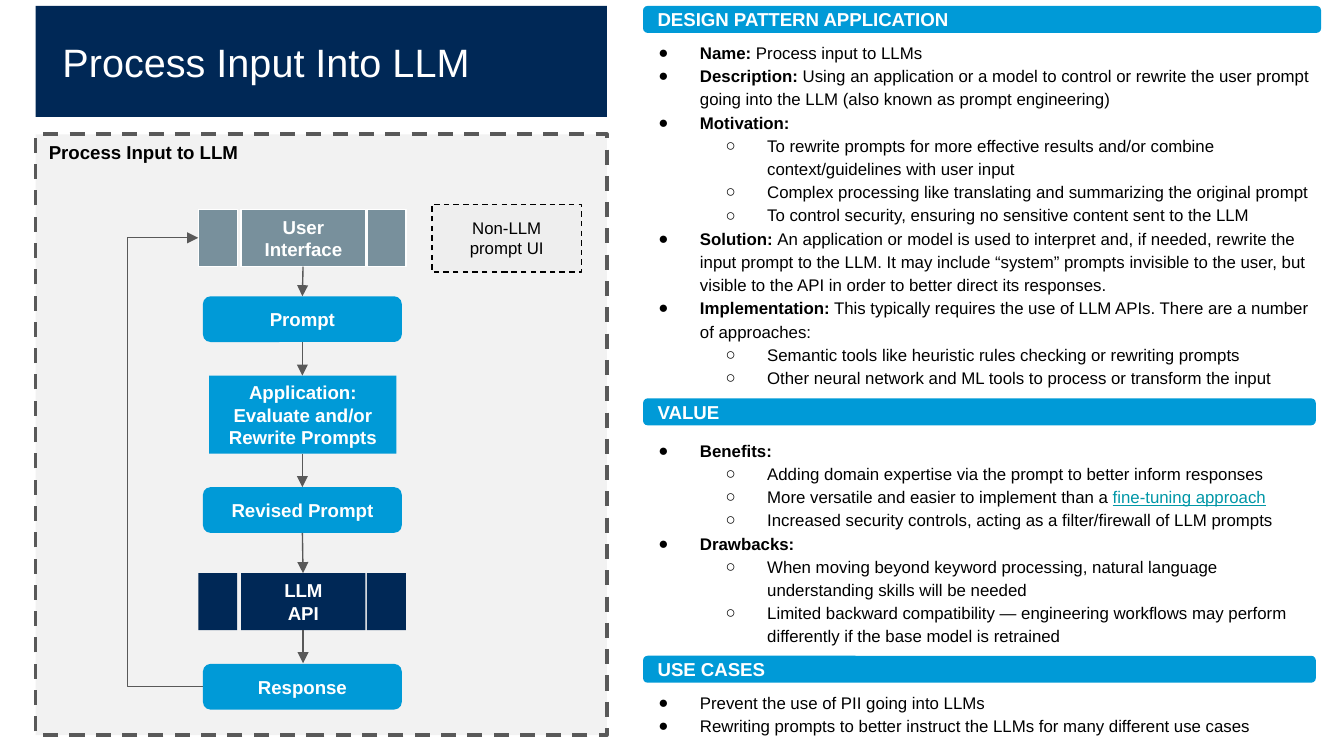
from lxml.etree import SubElement
from pptx import Presentation
from pptx.dml.color import RGBColor
from pptx.enum.dml import MSO_LINE_DASH_STYLE as DASH
from pptx.enum.shapes import MSO_CONNECTOR as CONN, MSO_SHAPE as SHAPE
from pptx.enum.text import MSO_ANCHOR as ANCHOR, PP_ALIGN as ALIGN
from pptx.oxml.ns import qn
from pptx.util import Pt

PX = 4572
FONT = "Arial"
NAVY = RGBColor(0x00, 0x28, 0x56)
BLUE = RGBColor(0x00, 0x9A, 0xD7)
SLATE = RGBColor(0x78, 0x90, 0x9C)
GRAY = RGBColor(0x59, 0x59, 0x59)
PANEL = RGBColor(0xF2, 0xF2, 0xF2)
NOTE = RGBColor(0xEE, 0xEE, 0xEE)
TEAL = RGBColor(0x00, 0x97, 0xA7)
WHITE = RGBColor(0xFF, 0xFF, 0xFF)
BLACK = RGBColor(0x00, 0x00, 0x00)

APPLICATION = [
    (0, "Name:", " Process input to LLMs"),
    (0, "Description:", " Using an application or a model to control or rewrite the user prompt "
     "going into the LLM (also known as prompt engineering)"),
    (0, "Motivation:"),
    (1, "", "To rewrite prompts for more effective results and/or combine "
     "context/guidelines with user input"),
    (1, "", "Complex processing like translating and summarizing the original prompt"),
    (1, "", "To control security, ensuring no sensitive content sent to the LLM"),
    (0, "Solution: ", "An application or model is used to interpret and, if needed, rewrite the "
     "input prompt to the LLM. It may include “system” prompts invisible to the user, but "
     "visible to the API in order to better direct its responses."),
    (0, "Implementation:", " This typically requires the use of LLM APIs. "
     "There are a number of approaches:"),
    (1, "", "Semantic tools like heuristic rules checking or rewriting prompts"),
    (1, "", "Other neural network and ML tools to process or transform the input"),
]
VALUE = [
    (0, "Benefits:"),
    (1, "", "Adding domain expertise via the prompt to better inform responses"),
    (1, "", "More versatile and easier to implement than a ", "fine-tuning approach"),
    (1, "", "Increased security controls, acting as a filter/firewall of LLM prompts"),
    (0, "Drawbacks:"),
    (1, "", "When moving beyond keyword processing, natural language "
     "understanding skills will be needed"),
    (1, "", "Limited backward compatibility — engineering workflows may perform "
     "differently if the base model is retrained"),
]
USE_CASES = [
    (0, "", "Prevent the use of PII going into LLMs"),
    (0, "", "Rewriting prompts to better instruct the LLMs for many different use cases"),
]


def px(*lengths):
    return [n * PX for n in lengths]


def style(font, size, color, bold=False):
    font.name, font.size, font.bold = FONT, Pt(size), bold
    font.color.rgb = color


def set_frame(tf, inset_x, inset_y, anchor):
    tf.word_wrap = True
    tf.margin_left = tf.margin_right = inset_x * PX
    tf.margin_top = tf.margin_bottom = inset_y * PX
    tf.vertical_anchor = anchor


def add_box(shapes, at, fill, kind=SHAPE.RECTANGLE, line=None, weight=0.75, dash=None):
    sp = shapes.add_shape(kind, *px(*at))
    sp.shadow.inherit = False
    sp.fill.solid()
    sp.fill.fore_color.rgb = fill
    if line is None:
        sp.line.fill.background()
    else:
        sp.line.color.rgb = line
        sp.line.width = Pt(weight)
        sp.line.dash_style = dash
    return sp


def write(sp, text, size=10, color=WHITE, bold=True, align=ALIGN.CENTER,
          inset=(20, 20), anchor=ANCHOR.MIDDLE):
    tf = sp.text_frame
    set_frame(tf, *inset, anchor)
    tf.text = text
    for p in tf.paragraphs:
        p.alignment = align
        for r in p.runs:
            style(r.font, size, color, bold)


def add_pill(s, at, text, align=ALIGN.CENTER):
    write(add_box(s.shapes, at, BLUE, SHAPE.ROUNDED_RECTANGLE), text, align=align)


def add_component(s, y, text, fill, line=None):
    shapes = s.shapes.add_group_shape().shapes
    write(add_box(shapes, (359, y, 185, 85), fill, line=line), text, inset=(14, 8))
    for x in (546, 295):
        add_box(shapes, (x, y, 58, 85), fill, line=line)


def add_arrow(s, start, end, kind=CONN.STRAIGHT):
    c = s.shapes.add_connector(kind, *px(*start, *end))
    c.line.color.rgb = GRAY
    c.line.width = Pt(0.75)
    SubElement(c.line._get_or_add_ln(), qn("a:tailEnd"), type="triangle")
    SubElement(c._element.spPr, qn("a:effectLst"))
    return c


def add_loop(s, start, end, bend_x):
    c = add_arrow(s, start, end, CONN.ELBOW)
    ratio = (bend_x - start[0]) / (end[0] - start[0])
    guides = c._element.spPr.find(qn("a:prstGeom")).get_or_add_avLst()
    SubElement(guides, qn("a:gd"), name="adj1", fmla=f"val {round(ratio * 100000)}")


def add_bullet(p, level):
    p.level = level
    pPr = p._p.get_or_add_pPr()
    pPr.set("marL", str((100 + 100 * level) * PX))
    pPr.set("indent", str(-62 * PX))
    color = SubElement(pPr, qn("a:buClr"))
    SubElement(color, qn("a:srgbClr"), val=str(BLACK))
    SubElement(pPr, qn("a:buFont"), typeface=FONT)
    SubElement(pPr, qn("a:buChar"), char="●○"[level])
    p.line_spacing = 1.15


def add_list(s, at, items):
    tf = s.shapes.add_textbox(*px(*at)).text_frame
    set_frame(tf, 20, 10, ANCHOR.TOP)
    for i, (level, *parts) in enumerate(items):
        p = tf.add_paragraph() if i else tf.paragraphs[0]
        add_bullet(p, level)
        for kind, text in zip(("label", "body", "link"), parts):
            if not text:
                continue
            r = p.add_run()
            r.text = text
            style(r.font, 9, TEAL if kind == "link" else BLACK, kind == "label")
            if kind == "link":
                r.font.underline = True


def add_title(s):
    sp = add_box(s.shapes, (53, 9, 850, 165), NAVY)
    write(sp, "Process Input Into LLM", 21.2, bold=False, align=ALIGN.LEFT, inset=(0, 0))
    sp.text_frame.paragraphs[0]._p.get_or_add_pPr().set("marL", str(40 * PX))


def add_flow(s):
    add_box(s.shapes, (53, 200, 850, 894), PANEL, line=GRAY, weight=2, dash=DASH.DASH)
    write(s.shapes.add_textbox(*px(53, 193, 336, 74)), "Process Input to LLM",
          color=BLACK, align=ALIGN.LEFT, anchor=ANCHOR.TOP)
    note = add_box(s.shapes, (643, 304, 222, 101), NOTE, line=BLACK, dash=DASH.DASH)
    write(note, "Non-LLM prompt UI", 9, BLACK, bold=False, anchor=ANCHOR.TOP)
    add_component(s, 312, "User Interface", SLATE, WHITE)
    write(add_box(s.shapes, (311, 559, 279, 116), BLUE),
          "Application: Evaluate and/or Rewrite Prompts", inset=(14, 8))
    add_component(s, 853, "LLM\nAPI", NAVY)
    for y, text in ((441, "Prompt"), (725, "Revised Prompt"), (988, "Response")):
        add_pill(s, (302, y, 296, 68), text)
    add_loop(s, (302, 1022), (295, 354), 190)
    for x1, y1, x2, y2 in ((451, 397, 450, 441), (450, 509, 450, 559), (450, 675, 450, 725),
                           (450, 793, 451, 853), (451, 938, 451, 987)):
        add_arrow(s, (x1, y1), (x2, y2))


def add_section(s, y, width, heading, list_at, items):
    add_pill(s, (957, y, width, 40), heading, ALIGN.LEFT)
    add_list(s, list_at, items)


def main():
    prs = Presentation()
    prs.slide_width, prs.slide_height = px(2000, 1125)
    s = prs.slides.add_slide(prs.slide_layouts[6])
    add_title(s)
    add_flow(s)
    add_section(s, 9, 1009, "DESIGN PATTERN APPLICATION", (922, 49, 1058, 538), APPLICATION)
    add_section(s, 593, 1001, "VALUE", (922, 641, 1036, 334), VALUE)
    add_section(s, 976, 1001, "USE CASES", (922, 1016, 1000, 90), USE_CASES)
    prs.save("out.pptx")


if __name__ == "__main__":
    main()
